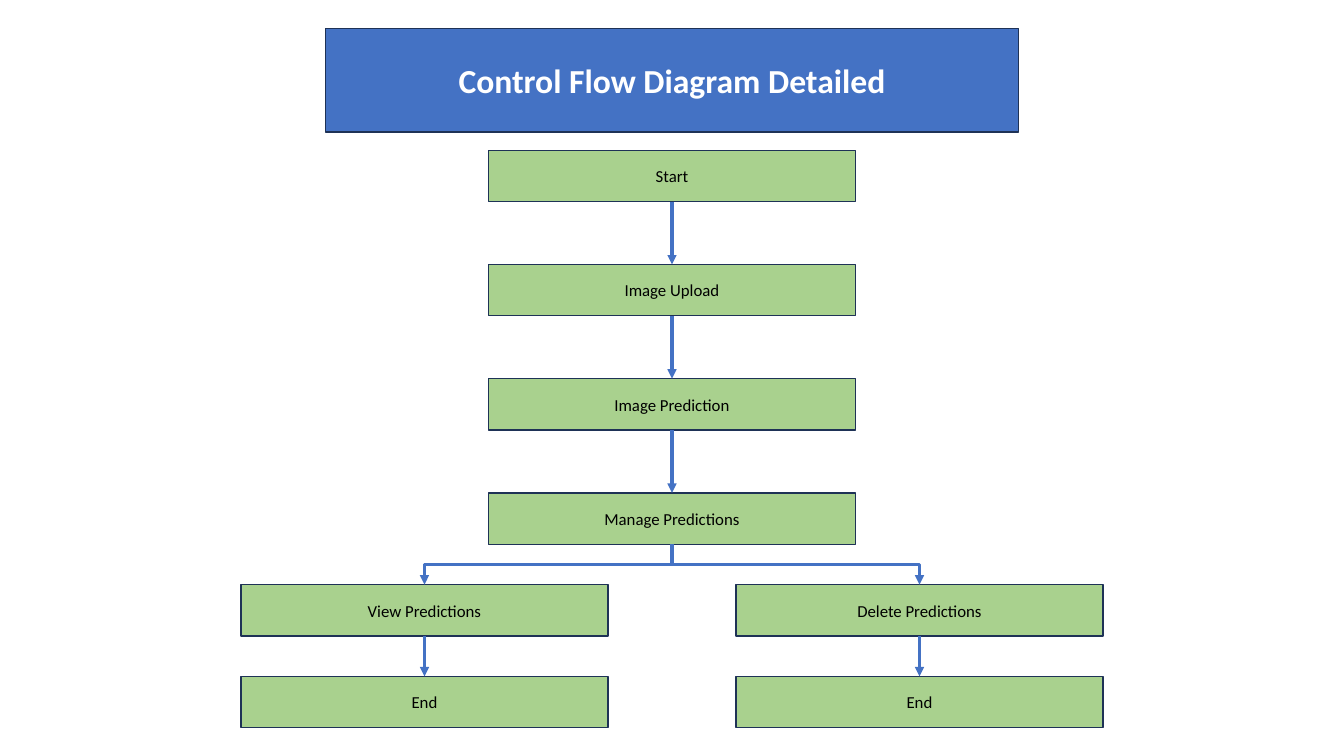
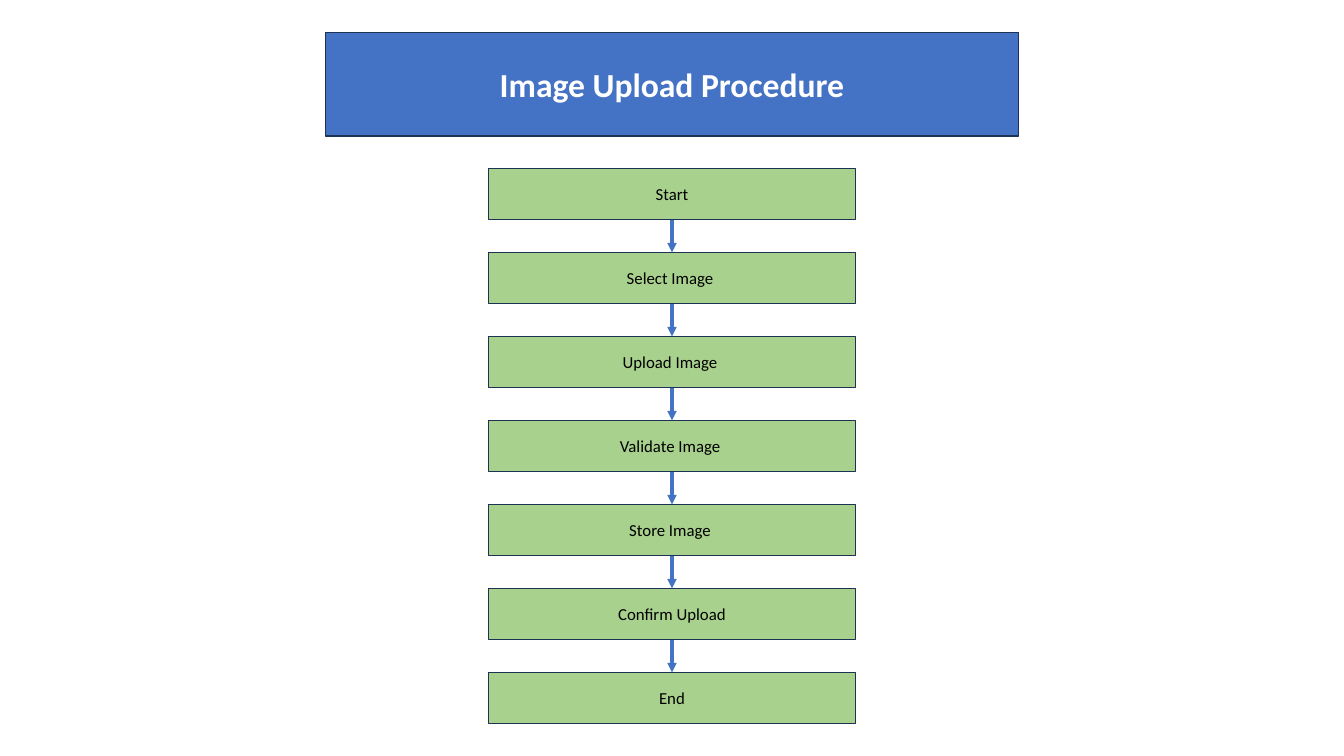
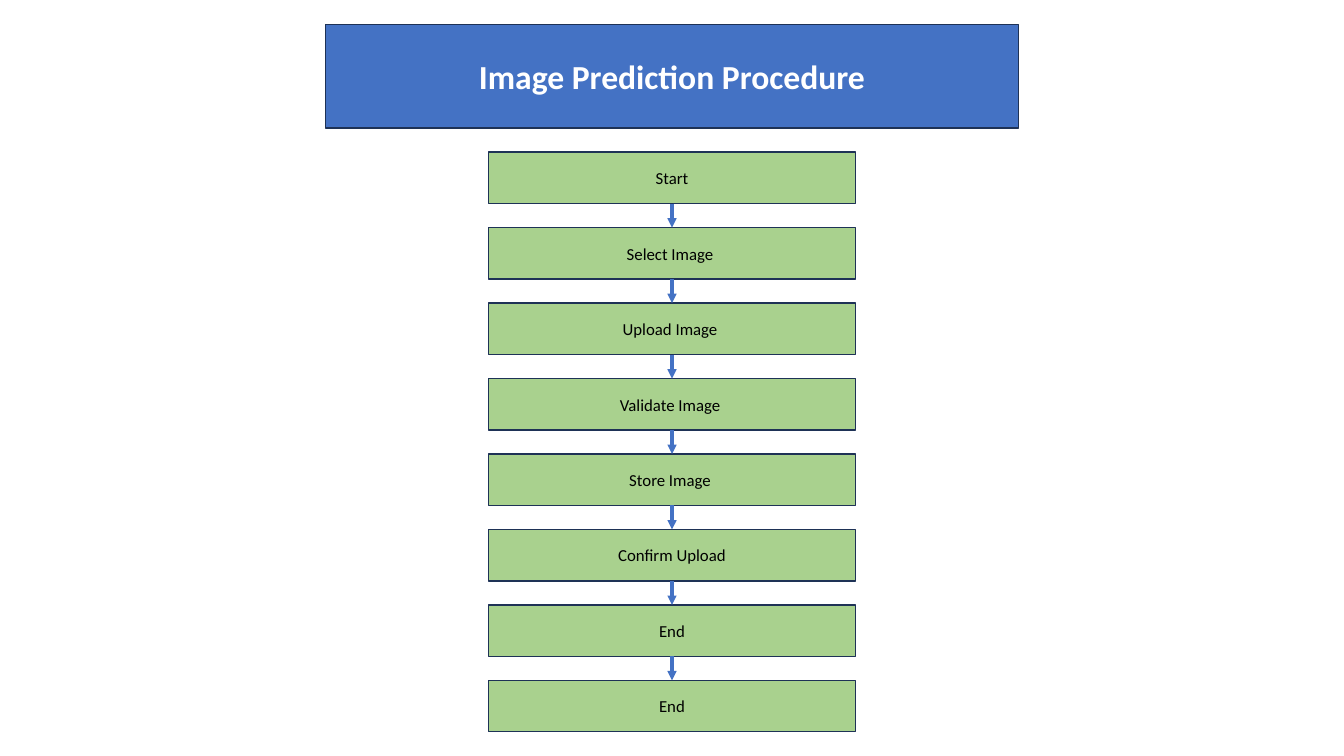
from dataclasses import dataclass
from itertools import pairwise

from lxml.etree import SubElement as Sub
from pptx import Presentation
from pptx.dml.color import RGBColor as RGB
from pptx.enum.shapes import MSO_CONNECTOR as Conn, MSO_SHAPE as Shape
from pptx.enum.text import MSO_ANCHOR as Anchor, MSO_AUTO_SIZE as Auto, PP_ALIGN as Align
from pptx.oxml.ns import qn
from pptx.util import Inches, Pt


@dataclass(frozen=True)
class Theme:
    """Colours, type and sizes that the slides share."""

    font: str = "Calibri"
    blue: RGB = RGB(0x44, 0x72, 0xC4)
    green: RGB = RGB(0xA9, 0xD1, 0x8E)
    navy: RGB = RGB(0x1E, 0x32, 0x56)
    white: RGB = RGB(0xFF, 0xFF, 0xFF)
    black: RGB = RGB(0, 0, 0)
    head: float = 24
    body: float = 12
    edge: float = 1
    arrow: float = 2.25
    wide: float = 13.33
    high: float = 7.5
    step_w: float = 3.64
    step_h: float = 0.51


T = Theme()
MID = T.wide / 2
SIDE = 2.455
UPLOAD = ["Start", "Select Image ", "Upload Image ", "Validate Image ",
          "Store Image ", "Confirm Upload", "End"]


def dress(shape, text, fill, color, size, bold=False):
    """Fill and outline a shape and set its centred text."""
    shape.fill.solid()
    shape.fill.fore_color.rgb = fill
    shape.line.color.rgb = T.navy
    shape.line.width = Pt(T.edge)
    frame = shape.text_frame
    frame.text = text
    frame.word_wrap = True
    frame.auto_size = Auto.NONE
    frame.vertical_anchor = Anchor.MIDDLE
    para = frame.paragraphs[0]
    para.alignment = Align.CENTER
    font = para.runs[0].font
    font.name, font.size, font.bold = T.font, Pt(size), bold
    font.color.rgb = color


def banner(deck, text, top):
    """Add a slide with its title in a blue band."""
    slide = deck.slides.add_slide(deck.slide_layouts[5])
    title = slide.shapes.title
    title.left, title.top = Inches(3.23), Inches(top)
    title.width, title.height = Inches(6.87), Inches(1.03)
    dress(title, text, T.blue, T.white, T.head, True)
    return slide


def step(slide, text, mid, top):
    """Add one step box centred on mid."""
    box = slide.shapes.add_shape(
        Shape.RECTANGLE, Inches(mid - T.step_w / 2), Inches(top),
        Inches(T.step_w), Inches(T.step_h))
    box.shadow.inherit = False
    dress(box, text, T.green, T.black, T.body)
    return box


def link(slide, start, end, kind=Conn.STRAIGHT):
    """Join the bottom of one box to the top of the next with an arrow."""
    line = slide.shapes.add_connector(kind, 0, 0, 0, 0)
    line.begin_connect(start, 2)
    line.end_connect(end, 0)
    line.line.color.rgb = T.blue
    line.line.width = Pt(T.arrow)
    props = line._element.spPr
    Sub(props.find(qn("a:ln")), qn("a:tailEnd"), type="triangle")
    Sub(props, qn("a:effectLst"))
    return line


def fork(slide, start, end):
    """Join two boxes with an elbow that leaves and arrives vertically."""
    line = link(slide, start, end, Conn.ELBOW)
    across, down = line.width, line.height
    line.left += (across - down) // 2
    line.top += (down - across) // 2
    line.width, line.height = down, across
    right = end.left > start.left
    frame = line._element.spPr.find(qn("a:xfrm"))
    frame.set("rot", str((270 if right else 90) * 60000))
    frame.set("flipH", "1" if right else "0")


def chain(slide, texts, mid, top, bottom):
    """Spread linked steps evenly from top to bottom."""
    pitch = (bottom - top - T.step_h) / (len(texts) - 1)
    boxes = [step(slide, text, mid, top + i * pitch)
             for i, text in enumerate(texts)]
    for start, end in pairwise(boxes):
        link(slide, start, end)
    return boxes


def overview(deck):
    """Build the main flow with its two branches."""
    slide = banner(deck, "Control Flow Diagram Detailed", 0.28)
    trunk = chain(slide, ["Start", "Image Upload", "Image Prediction",
                          "Manage Predictions"], MID, 1.49, 5.4)
    for text, mid in (("View Predictions", MID - SIDE),
                      ("Delete Predictions", MID + SIDE)):
        branch = chain(slide, [text, "End"], mid, 5.8, 7.22)
        fork(slide, trunk[-1], branch[0])


def routine(deck, title, head, texts, top, bottom):
    """Build a slide with a single column of steps."""
    chain(banner(deck, title, head), texts, MID, top, bottom)


def main():
    """Build and save the deck."""
    deck = Presentation()
    deck.slide_width, deck.slide_height = Inches(T.wide), Inches(T.high)
    overview(deck)
    routine(deck, "Image Upload Procedure", 0.32, UPLOAD, 1.67, 7.18)
    routine(deck, "Image Prediction Procedure", 0.24, UPLOAD + ["End"], 1.51, 7.26)
    deck.save("out.pptx")


if __name__ == "__main__":
    main()
